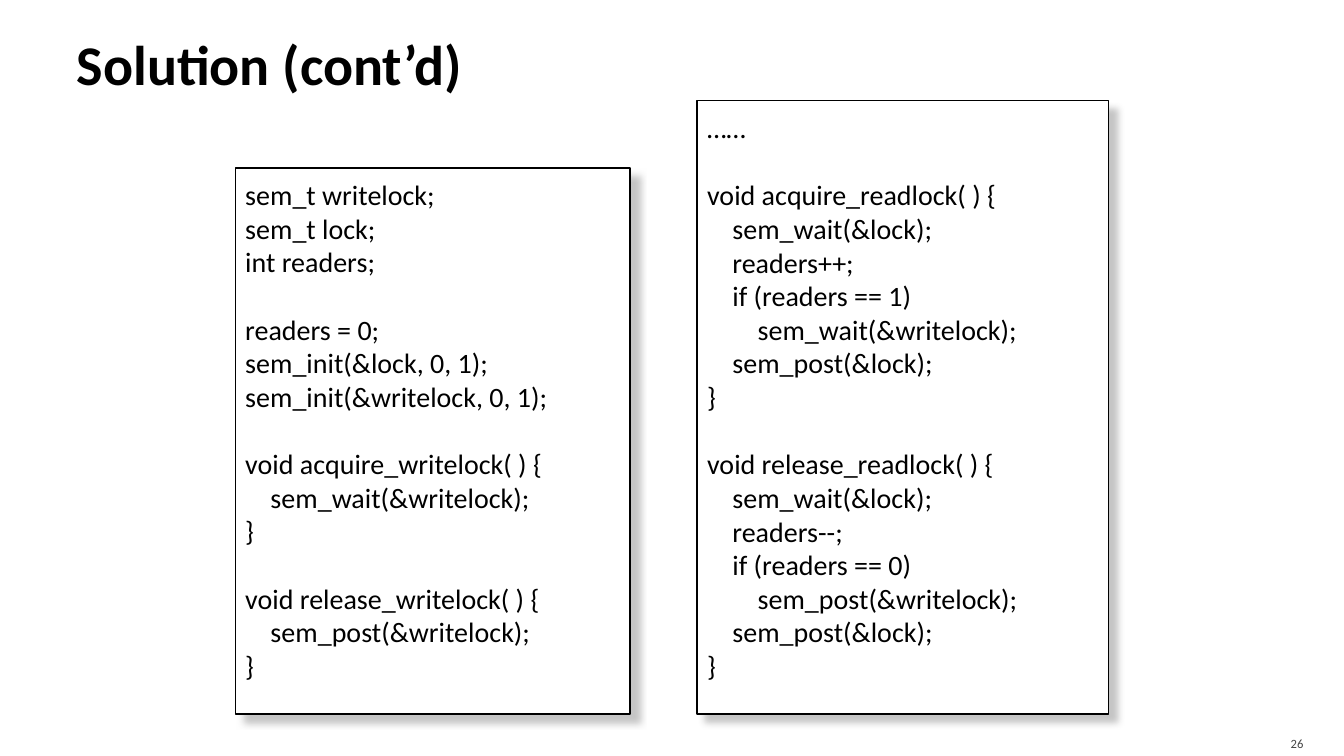
"""Build the slide with the readers-writer lock solution."""
from dataclasses import dataclass

import lxml.etree
import pptx
import pptx.dml.color
import pptx.enum.shapes
import pptx.enum.text
import pptx.oxml.ns
import pptx.shapes.autoshape
import pptx.slide
import pptx.text.text
import pptx.util
from pptx.util import Cm

FONT = "Calibri"
BLACK = pptx.dml.color.RGBColor(0x00, 0x00, 0x00)
WHITE = pptx.dml.color.RGBColor(0xFF, 0xFF, 0xFF)
GRAY = pptx.dml.color.RGBColor(0x45, 0x45, 0x45)
SHADOW_GRAY = pptx.dml.color.RGBColor(0xB2, 0xB2, 0xB2)
EMU_PER_POINT = 12700
CODE_SIZE = 20
CODE_BLOCK_GAP = 24

WRITER_CODE = """sem_t writelock;
sem_t lock;
int readers;

readers = 0;
sem_init(&lock, 0, 1);
sem_init(&writelock, 0, 1);

void acquire_writelock( ) {
    sem_wait(&writelock);
}

void release_writelock( ) {
    sem_post(&writelock);
}"""

READER_CODE = """……

void acquire_readlock( ) {
    sem_wait(&lock);
    readers++;
    if (readers == 1)
        sem_wait(&writelock);
    sem_post(&lock);
}

void release_readlock( ) {
    sem_wait(&lock);
    readers--;
    if (readers == 0)
        sem_post(&writelock);
    sem_post(&lock);
}"""


@dataclass(frozen=True)
class Area:
    left: float
    top: float
    width: float
    height: float

    def lengths(self) -> tuple[Cm, Cm, Cm, Cm]:
        return Cm(self.left), Cm(self.top), Cm(self.width), Cm(self.height)


@dataclass(frozen=True)
class Listing:
    area: Area
    code: str


LISTINGS = (
    Listing(Area(5.93, 4.23, 9.95, 13.76), WRITER_CODE),
    Listing(Area(17.57, 2.54, 10.37, 15.45), READER_CODE),
)


def write_text(
    frame: pptx.text.text.TextFrame,
    text: str,
    *,
    size: float,
    color: pptx.dml.color.RGBColor = BLACK,
    bold: bool = False,
    align: pptx.enum.text.PP_ALIGN = pptx.enum.text.PP_ALIGN.LEFT,
    anchor: pptx.enum.text.MSO_ANCHOR = pptx.enum.text.MSO_ANCHOR.MIDDLE,
    insets: tuple[float, float, float, float] = (0.25, 0.13, 0.25, 0.13),
    block_gap: float = 0,
) -> None:
    frame.word_wrap = True
    frame.vertical_anchor = anchor
    frame.margin_left, frame.margin_top, frame.margin_right, frame.margin_bottom = map(Cm, insets)
    paragraph = frame.paragraphs[0]
    for block_index, block in enumerate(text.split("\n\n")):
        for line_index, line in enumerate(block.split("\n")):
            if block_index or line_index:
                paragraph = frame.add_paragraph()
            if block_index and not line_index:
                paragraph.space_before = pptx.util.Pt(block_gap)
            paragraph.alignment = align
            run = paragraph.add_run()
            run.text = line
            run.font.name = FONT
            run.font.size = pptx.util.Pt(size)
            run.font.bold = bold
            run.font.color.rgb = color


def add_shadow(panel: pptx.shapes.autoshape.Shape) -> None:
    panel.shadow.inherit = False
    effects = panel.element.spPr.find(pptx.oxml.ns.qn("a:effectLst"))
    shadow = lxml.etree.SubElement(
        effects,
        pptx.oxml.ns.qn("a:outerShdw"),
        blurRad=str(5 * EMU_PER_POINT),
        dist=str(int(8.5 * EMU_PER_POINT)),
        dir=str(45 * 60000),
        algn="tl",
        rotWithShape="0",
    )
    color = lxml.etree.SubElement(shadow, pptx.oxml.ns.qn("a:srgbClr"), val=str(SHADOW_GRAY))
    lxml.etree.SubElement(color, pptx.oxml.ns.qn("a:alpha"), val="75000")


def add_listing(slide: pptx.slide.Slide, listing: Listing) -> None:
    panel = slide.shapes.add_shape(
        pptx.enum.shapes.MSO_SHAPE.RECTANGLE, *listing.area.lengths()
    )
    panel.fill.solid()
    panel.fill.fore_color.rgb = WHITE
    panel.line.color.rgb = BLACK
    panel.line.width = pptx.util.Pt(1)
    add_shadow(panel)
    write_text(
        panel.text_frame,
        listing.code,
        size=CODE_SIZE,
        anchor=pptx.enum.text.MSO_ANCHOR.TOP,
        insets=(0.25, 0.25, 0.25, 0.25),
        block_gap=CODE_BLOCK_GAP,
    )


def main() -> None:
    presentation = pptx.Presentation()
    presentation.slide_width = Cm(33.87)
    presentation.slide_height = Cm(19.05)
    slide = presentation.slides.add_slide(presentation.slide_layouts[6])

    heading = slide.shapes.add_textbox(*Area(1.69, 0.42, 30.48, 2.33).lengths())
    write_text(
        heading.text_frame, "Solution (cont’d)", size=40, bold=True,
        insets=(0.25, 0.13, 0.13, 0.13),
    )
    page_number = slide.shapes.add_textbox(*Area(30.38, 18.29, 2.72, 0.76).lengths())
    write_text(
        page_number.text_frame, "26", size=9, color=GRAY,
        align=pptx.enum.text.PP_ALIGN.RIGHT, insets=(0.25, 0.13, 0.25, 0),
    )
    for listing in LISTINGS:
        add_listing(slide, listing)

    presentation.save("out.pptx")


if __name__ == "__main__":
    main()
